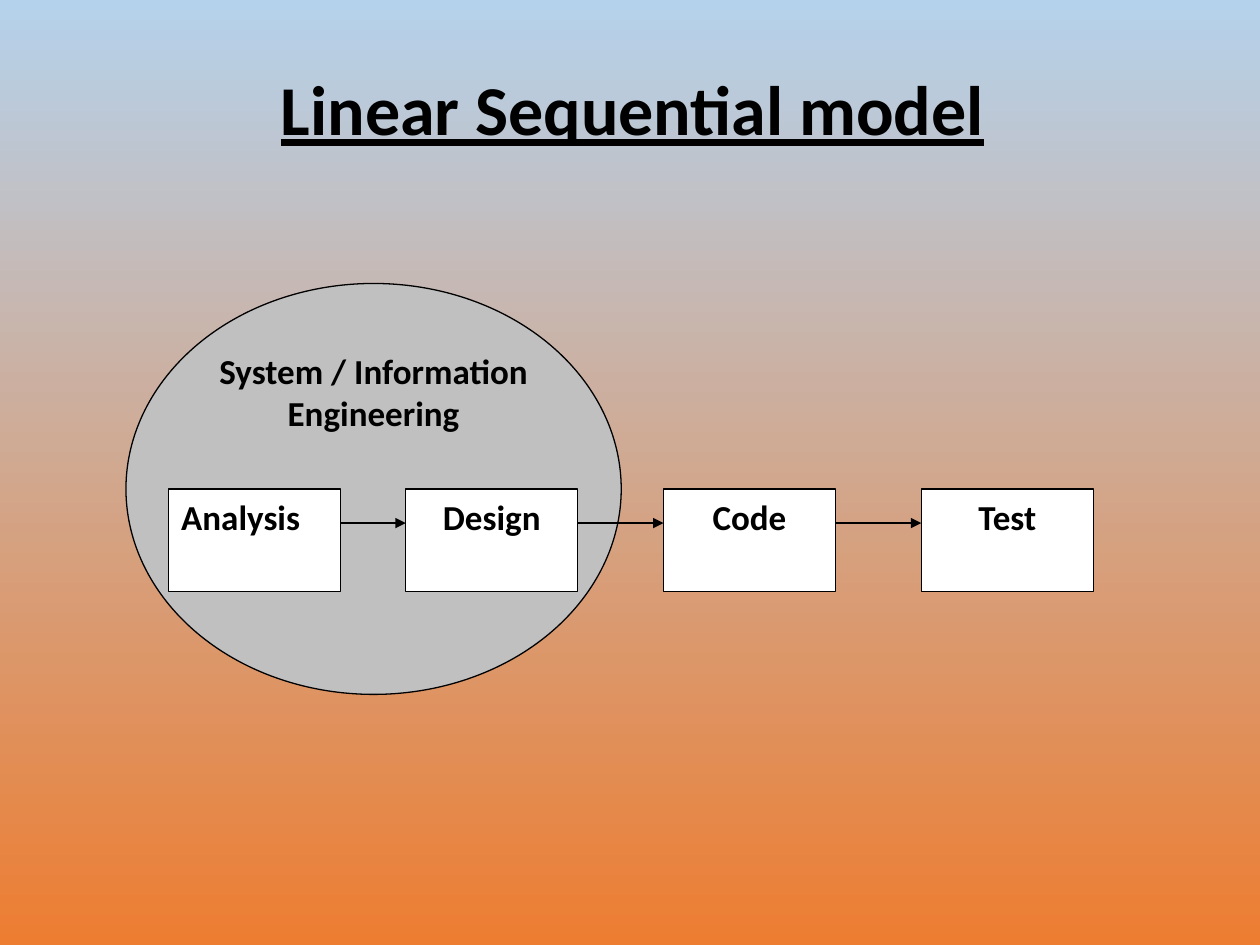
from pptx import Presentation
from pptx.dml.color import RGBColor
from pptx.enum.shapes import MSO_CONNECTOR, MSO_SHAPE
from pptx.enum.text import MSO_ANCHOR, PP_ALIGN
from pptx.oxml.ns import qn
from pptx.util import Pt
from lxml import etree

OVAL, RECT = MSO_SHAPE.OVAL, MSO_SHAPE.RECTANGLE
STRAIGHT = MSO_CONNECTOR.STRAIGHT
TOP, MIDDLE = MSO_ANCHOR.TOP, MSO_ANCHOR.MIDDLE
LEFT, CENTER = PP_ALIGN.LEFT, PP_ALIGN.CENTER

BLACK, WHITE, GREY = "000000", "FFFFFF", "C0C0C0"
SKY, ORANGE = "B5D2EC", "ED7D31"
BOX_TOP, BOX_W, BOX_H = 279.4, 98.3, 58.5
ARROW_Y = 298.9
STEPS = [("Analysis", 96.5, LEFT)] + [
    (name, 231.9 + 147.3 * i, CENTER)
    for i, name in enumerate(["Design", "Code", "Test"])
]


def rgb(value):
    """Turn a hex string into a colour."""
    return RGBColor.from_string(value)


def set_background(s):
    """Fill the slide with a gradient from top to bottom."""
    fill = s.background.fill
    fill.gradient()
    fill.gradient_angle = 270
    for stop, color in zip(fill.gradient_stops, (SKY, ORANGE)):
        stop.color.rgb = rgb(color)


def write_text(sp, text, align, anchor=TOP, **font):
    """Write one bold paragraph into a shape."""
    tf = sp.text_frame
    tf.word_wrap = True
    tf.vertical_anchor = anchor
    p = tf.paragraphs[0]
    p.alignment = align
    r = p.add_run()
    r.text = text
    r.font.color.rgb = rgb(BLACK)
    for key, value in {"name": "Calibri", "size": Pt(20), "bold": True, **font}.items():
        setattr(r.font, key, value)


def add_title(s, text):
    """Add the underlined slide title."""
    sp = s.shapes.add_textbox(Pt(153.4), Pt(12.2), Pt(437.8), Pt(104.4))
    write_text(sp, text, LEFT, MIDDLE, size=Pt(40), underline=True)
    sp.text_frame.paragraphs[0].line_spacing = 0.9


def add_outlined(s, kind, box, fill, text, align):
    """Add a filled shape with a thin black outline and a label."""
    sp = s.shapes.add_shape(kind, *map(Pt, box))
    sp.shadow.inherit = False
    sp.fill.solid()
    sp.fill.fore_color.rgb = rgb(fill)
    sp.line.color.rgb = rgb(BLACK)
    sp.line.width = Pt(0.75)
    write_text(sp, text, align)


def add_arrow(s, x1, x2, y):
    """Add a horizontal arrow pointing right."""
    line = s.shapes.add_connector(STRAIGHT, Pt(x1), Pt(y), Pt(x2), Pt(y))
    line.line.color.rgb = rgb(BLACK)
    line.line.width = Pt(0.75)
    etree.SubElement(line.line._get_or_add_ln(), qn("a:tailEnd"), type="triangle")
    etree.SubElement(line._element.spPr, qn("a:effectLst"))


def main():
    """Build the slide and save it."""
    prs = Presentation()
    prs.slide_width, prs.slide_height = Pt(720), Pt(540)
    s = prs.slides.add_slide(prs.slide_layouts[6])
    set_background(s)
    add_title(s, "Linear Sequential model")
    add_outlined(s, OVAL, (72, 162, 283, 234.8), GREY,
                 "System / Information Engineering", CENTER)
    for name, x, align in STEPS:
        add_outlined(s, RECT, (x, BOX_TOP, BOX_W, BOX_H), WHITE, name, align)
    for (_, x, _), (_, next_x, _) in zip(STEPS, STEPS[1:]):
        add_arrow(s, x + BOX_W, next_x, ARROW_Y)
    prs.save("out.pptx")


if __name__ == "__main__":
    main()
